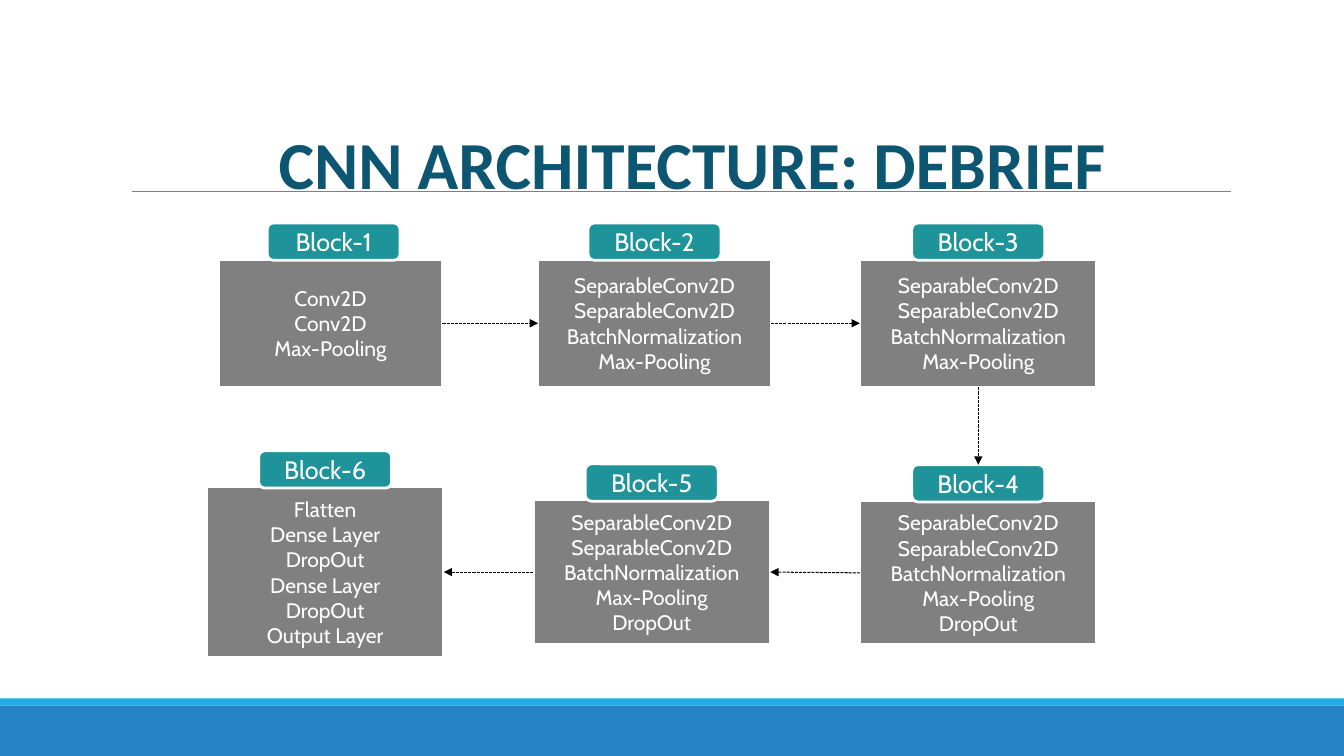
from dataclasses import dataclass

from pptx import Presentation
from pptx import util as u
from pptx.dml.color import RGBColor
from pptx.enum import dml, shapes, text
from pptx.oxml.ns import qn
from lxml import etree

TOP, LEFT, BOTTOM, RIGHT = range(4)


@dataclass(frozen=True)
class Theme:
    heading_font: str = "Calibri"
    block_font: str = "Cabin"
    heading_size: float = 48
    label_size: float = 18
    layer_size: float = 15
    heading: str = "0D5672"
    label: str = "1E9399"
    block: str = "808080"
    white: str = "FFFFFF"
    arrow: str = "000000"
    rule: str = "7F7F7F"
    footer: str = "2683C6"
    footer_edge: str = "1CADE4"


class SlideBuilder:
    def __init__(self, slide, theme):
        self.slide = slide
        self.theme = theme

    def set_text(self, frame, wording, font, size, color, bold=False):
        frame.text = wording
        frame.word_wrap = True
        for paragraph in frame.paragraphs:
            paragraph.alignment = text.PP_ALIGN.CENTER
            for run in paragraph.runs:
                run.font.name = font
                run.font.size = u.Pt(size)
                run.font.bold = bold
                run.font.color.rgb = RGBColor.from_string(color)

    def title(self, wording, left, top, width, height):
        heading = self.slide.shapes.title
        heading.left, heading.top = u.Cm(left), u.Cm(top)
        heading.width, heading.height = u.Cm(width), u.Cm(height)
        frame = heading.text_frame
        self.set_text(frame, wording, self.theme.heading_font,
                      self.theme.heading_size, self.theme.heading, bold=True)
        frame.auto_size = text.MSO_AUTO_SIZE.NONE
        frame.vertical_anchor = text.MSO_ANCHOR.BOTTOM
        frame.paragraphs[0].line_spacing = 0.85

    def panel(self, left, top, width, height, fill, outline=None, rounded=False):
        kind = shapes.MSO_SHAPE.ROUNDED_RECTANGLE if rounded else shapes.MSO_SHAPE.RECTANGLE
        panel = self.slide.shapes.add_shape(
            kind, u.Cm(left), u.Cm(top), u.Cm(width), u.Cm(height))
        panel.shadow.inherit = False
        panel.fill.solid()
        panel.fill.fore_color.rgb = RGBColor.from_string(fill)
        if outline:
            panel.line.color.rgb = RGBColor.from_string(outline)
            panel.line.width = u.Pt(2)
        else:
            panel.line.fill.background()
        return panel

    def block(self, name, layers, left, top, width, height, label_shift=0):
        """Draw a box of layers with its name tag centred on the top edge."""
        theme = self.theme
        box = self.panel(left, top, width, height, theme.block, theme.white)
        self.set_text(box.text_frame, "\n".join(layers), theme.block_font,
                      theme.layer_size, theme.white)
        label_width = 3.35
        label = self.panel(left + (width - label_width) / 2 + label_shift, top - 0.91,
                           label_width, 0.94, theme.label, theme.white, rounded=True)
        self.set_text(label.text_frame, name, theme.block_font,
                      theme.label_size, theme.white)
        for part in (box, label):
            part.text_frame.vertical_anchor = text.MSO_ANCHOR.MIDDLE
        return box, label

    def line(self, color, left=0, top=0, right=0, bottom=0):
        line = self.slide.shapes.add_connector(
            shapes.MSO_CONNECTOR.STRAIGHT, u.Cm(left), u.Cm(top), u.Cm(right), u.Cm(bottom))
        line.line.color.rgb = RGBColor.from_string(color)
        line.line.width = u.Pt(0.75)
        etree.SubElement(line._element.spPr, qn("a:effectLst"))
        return line

    def arrow(self, source, source_side, target, target_side):
        arrow = self.line(self.theme.arrow)
        arrow.begin_connect(source, source_side)
        arrow.end_connect(target, target_side)
        arrow.line.dash_style = dml.MSO_LINE.SQUARE_DOT
        outline = arrow._element.spPr.find(qn("a:ln"))
        etree.SubElement(outline, qn("a:tailEnd"), type="triangle")


def main():
    deck = Presentation()
    deck.slide_width, deck.slide_height = u.Cm(33.87), u.Cm(19.05)
    theme = Theme()
    page = SlideBuilder(deck.slides.add_slide(deck.slide_layouts[5]), theme)

    # Footer bands, heading and its rule
    page.panel(0, 17.78, 33.87, 1.27, theme.footer)
    page.panel(0, 17.6, 33.87, 0.18, theme.footer_edge)
    page.line(theme.rule, 3.33, 4.83, 31.01, 4.83)
    page.title("CNN ARCHITECTURE: DEBRIEF", 3.48, 1.22, 27.94, 4.04)

    # Blocks of layers
    separable = ["SeparableConv2D", "SeparableConv2D", "BatchNormalization", "Max-Pooling"]
    separable_drop = separable + ["DropOut"]
    dense = ["Flatten", "Dense Layer", "DropOut", "Dense Layer", "DropOut", "Output Layer"]
    block1, _ = page.block("Block-1", ["Conv2D", "Conv2D", "Max-Pooling"],
                           5.51, 6.53, 5.64, 3.23, label_shift=0.08)
    block2, _ = page.block("Block-2", separable, 13.56, 6.53, 5.87, 3.23)
    block3, _ = page.block("Block-3", separable, 21.67, 6.53, 5.97, 3.23)
    block4, label4 = page.block("Block-4", separable_drop, 21.67, 12.62, 5.97, 3.63)
    block5, _ = page.block("Block-5", separable_drop, 13.44, 12.6, 5.97, 3.63)
    block6, _ = page.block("Block-6", dense, 5.21, 12.27, 5.97, 4.29)

    # Flow from block to block
    page.arrow(block1, RIGHT, block2, LEFT)
    page.arrow(block2, RIGHT, block3, LEFT)
    page.arrow(block3, BOTTOM, label4, TOP)
    page.arrow(block4, LEFT, block5, RIGHT)
    page.arrow(block5, LEFT, block6, RIGHT)

    deck.save("out.pptx")


if __name__ == "__main__":
    main()
